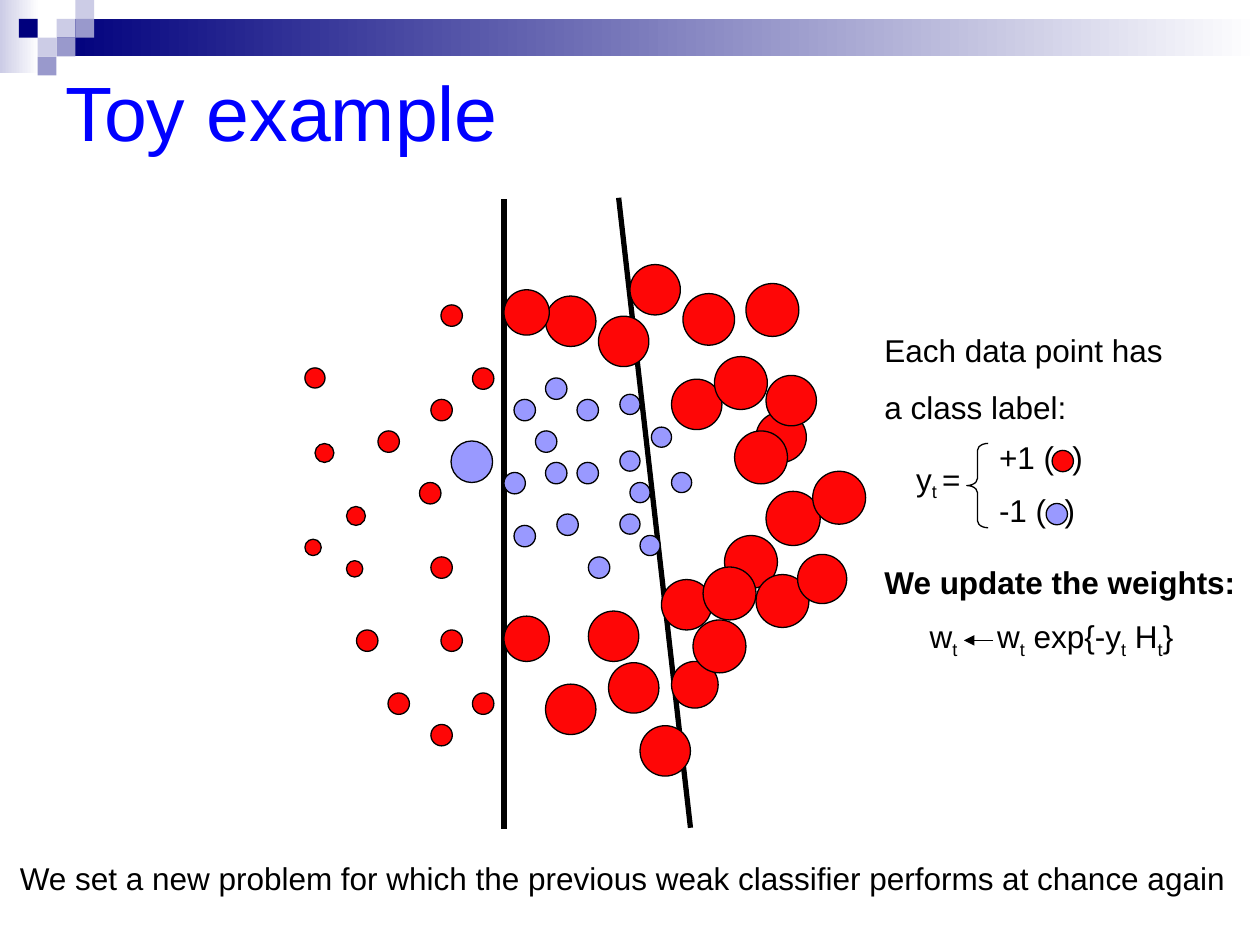
from dataclasses import dataclass

from lxml.etree import SubElement
from pptx import Presentation
from pptx.dml.color import RGBColor as RGB
from pptx.enum.shapes import MSO_CONNECTOR as LINE, MSO_SHAPE as SHAPE
from pptx.enum.text import MSO_ANCHOR as ANCHOR, MSO_AUTO_SIZE as AUTO, PP_ALIGN as ALIGN
from pptx.oxml.ns import qn
from pptx.util import Cm, Pt


@dataclass(frozen=True)
class Theme:
    font: str = "Arial"
    title_size: Pt = Pt(44)
    body_size: Pt = Pt(18)
    outline: Pt = Pt(0.75)
    arrow: Pt = Pt(1)
    boundary: Pt = Pt(3)
    ink: RGB = RGB(0, 0, 0)
    title: RGB = RGB(0, 0, 255)
    positive: RGB = RGB(0xFE, 0x06, 0x06)
    negative: RGB = RGB(0x99, 0x99, 0xFF)
    navy: RGB = RGB(0, 0, 0x7D)
    lilac: RGB = RGB(0xCC, 0xCC, 0xE6)
    mauve: RGB = RGB(0x99, 0x99, 0xCC)
    white: RGB = RGB(255, 255, 255)


THEME = Theme()
SCALE = 2.54  # centimetres per unit of the data below

# Left, top and diameter of each data point, from back to front
NEGATIVES = [
    (2.58, 2.17, 0.17), (2.92, 2.13, 0.16), (3.17, 2.39, 0.16), (2.33, 2.67, 0.17),
    (2.92, 3.08, 0.16), (3.33, 2.75, 0.16), (2.08, 3.17, 0.17), (2.58, 2.67, 0.17),
    (2.92, 2.58, 0.16), (3, 2.83, 0.16), (2.42, 3.08, 0.17), (2, 2.75, 0.17),
    (2.08, 2.17, 0.17), (2.67, 3.42, 0.17), (2.25, 2.42, 0.17), (3.08, 3.25, 0.16),
    (1.58, 2.5, 0.33), (2.33, 2, 0.17),
]
POSITIVES = [
    (4.08, 2.9, 0.43), (4, 2.27, 0.4), (3.75, 3.25, 0.42), (4, 3.56, 0.42),
    (4.45, 2.74, 0.42), (4.33, 3.4, 0.39), (0.5, 2.52, 0.15), (0.42, 1.92, 0.16),
    (0.42, 3.28, 0.13), (1, 2.42, 0.17), (0.75, 3.02, 0.15), (1.5, 4, 0.17),
    (1.42, 3.42, 0.17), (1.42, 4.75, 0.17), (2, 3.89, 0.36), (1.75, 4.5, 0.17),
    (2.83, 4.26, 0.4), (2.67, 3.85, 0.4), (2.33, 4.43, 0.4), (3.33, 4.25, 0.37),
    (3.08, 4.76, 0.4), (1.5, 1.42, 0.17), (2.33, 1.35, 0.4), (1.42, 2.17, 0.17),
    (2, 1.3, 0.36), (1.75, 1.92, 0.17), (3.42, 1.33, 0.41), (2.75, 1.51, 0.4),
    (3.33, 2.01, 0.4), (3.92, 1.25, 0.42), (3.67, 1.83, 0.42), (0.83, 4, 0.17),
    (0.75, 3.45, 0.13), (1.33, 2.83, 0.17), (1.08, 4.5, 0.17), (3, 1.1, 0.4),
    (4.08, 1.98, 0.4), (3.83, 2.42, 0.42), (3.25, 3.6, 0.4), (3.5, 3.92, 0.42),
    (3.58, 3.5, 0.42),
]
BOUNDARIES = [(2, 0.58, 2, 5.58), (2.91, 0.57, 3.48, 5.57)]


def set_all(target, formats):
    for attribute, value in formats.items():
        setattr(target, attribute, value)


def add_shape(slide, kind, left, top, width, height, fill=None, outlined=False):
    shape = slide.shapes.add_shape(kind, Cm(left), Cm(top), Cm(width), Cm(height))
    shape.shadow.inherit = False
    if fill is None:
        shape.fill.background()
    else:
        shape.fill.solid()
        shape.fill.fore_color.rgb = fill
    if outlined:
        shape.line.color.rgb = THEME.ink
        shape.line.width = THEME.outline
    else:
        shape.line.fill.background()
    return shape


def add_fade(slide, left, top, width, height, start):
    """Rectangle fading from the start colour to white, left to right."""
    fill = add_shape(slide, SHAPE.RECTANGLE, left, top, width, height).fill
    fill.gradient()
    fill.gradient_angle = 0
    for stop, color in zip(fill.gradient_stops, (start, THEME.white)):
        stop.color.rgb = color


def add_point(slide, left, top, diameter, color):
    add_shape(slide, SHAPE.OVAL, left, top, diameter, diameter, color, outlined=True)


def add_line(slide, x1, y1, x2, y2, width, arrow=False):
    line = slide.shapes.add_connector(LINE.STRAIGHT, Cm(x1), Cm(y1), Cm(x2), Cm(y2))
    line.line.color.rgb = THEME.ink
    line.line.width = width
    if arrow:
        SubElement(line.line._get_or_add_ln(), qn("a:tailEnd"), type="triangle")
    SubElement(line._element.spPr, qn("a:effectLst"))


def add_text(slide, left, top, width, height, *paragraphs, tab=None, wrap=False, bold=None):
    """Text whose every second part between bars is a subscript."""
    frame = slide.shapes.add_textbox(Cm(left), Cm(top), Cm(width), Cm(height)).text_frame
    set_all(frame, {"word_wrap": wrap, "auto_size": AUTO.SHAPE_TO_FIT_TEXT})
    for index, text in enumerate(paragraphs):
        paragraph = frame.add_paragraph() if index else frame.paragraphs[0]
        if index:
            paragraph.space_before = Pt(11.2)
        if tab:
            tabs = SubElement(paragraph._p.get_or_add_pPr(), qn("a:tabLst"))
            SubElement(tabs, qn("a:tab"), pos=str(Cm(tab)), algn="l")
        for part, words in enumerate(text.split("|")):
            run = paragraph.add_run()
            run.text = words
            set_all(run.font, {"name": THEME.font, "size": THEME.body_size, "bold": bold})
            run.font.color.rgb = THEME.ink
            if part % 2:
                run._r.get_or_add_rPr().set("baseline", "-25000")


def draw_banner(slide, left, top, width):
    cell = 0.38
    add_fade(slide, left, top, 0.79, 1.47, THEME.lilac)
    add_fade(slide, left + 3 * cell, top + cell, width - 3 * cell, 2 * cell, THEME.navy)
    squares = {
        THEME.lilac: [(3, 1), (4, 0), (2, 2)],
        THEME.mauve: [(4, 1), (3, 2), (2, 3)],
        THEME.navy: [(1, 1)],
    }
    for color, cells in squares.items():
        for column, row in cells:
            add_shape(slide, SHAPE.RECTANGLE, left + column * cell, top + row * cell,
                      cell, cell, color)


def draw_title(slide, left, top, width, height):
    title = slide.shapes.title
    set_all(title, {"left": Cm(left), "top": Cm(top), "width": Cm(width), "height": Cm(height)})
    frame = title.text_frame
    frame.text = "Toy example"
    set_all(frame, {"vertical_anchor": ANCHOR.MIDDLE, "auto_size": AUTO.NONE})
    paragraph = frame.paragraphs[0]
    paragraph.alignment = ALIGN.LEFT
    font = paragraph.runs[0].font
    set_all(font, {"name": THEME.font, "size": THEME.title_size})
    font.color.rgb = THEME.title


def draw_scatter(slide, left, top):
    for x1, y1, x2, y2 in BOUNDARIES:
        add_line(slide, left + x1 * SCALE, top + y1 * SCALE,
                 left + x2 * SCALE, top + y2 * SCALE, THEME.boundary)
    for points, color in ((NEGATIVES, THEME.negative), (POSITIVES, THEME.positive)):
        for x, y, diameter in points:
            add_point(slide, left + x * SCALE, top + y * SCALE, diameter * SCALE, color)


def draw_class_labels(slide, left, top):
    add_text(slide, left, top, 6.35, 3.35, "Each data point has", "a class label:", wrap=True)
    add_text(slide, left + 0.64, top + 2.59, 1.4, 1.12, "y|t |=")
    brace = add_shape(slide, SHAPE.LEFT_BRACE, left + 1.91, top + 2.39, 0.43, 1.7, outlined=True)
    brace.adjustments[0] = 0.33
    labels = [
        ("+1 (\t)", 2.16, 1.48, 3.63, THEME.positive),
        ("-1 (\t)", 3.23, 1.32, 3.51, THEME.negative),
    ]
    for label, y, tab, point_x, color in labels:
        add_text(slide, left + 2.31, top + y, 2.6, 1.02, label, tab=tab, wrap=True)
        add_point(slide, left + point_x, top + y + 0.37, 0.43, color)


def draw_weight_update(slide, left, top):
    add_text(slide, left, top, 7.6, 1.02, "We update the weights:", bold=True)
    add_text(slide, left + 0.91, top + 1.09, 5.8, 1.12,
             "w|t|\tw|t| exp{-y|t| H|t|}", tab=1.36, wrap=True)
    add_line(slide, left + 2.44, top + 1.68, left + 1.85, top + 1.68, THEME.arrow, arrow=True)


def main():
    deck = Presentation()
    set_all(deck, {"slide_width": Cm(25.4), "slide_height": Cm(19.05)})
    slide = deck.slides.add_slide(deck.slide_layouts[5])
    draw_banner(slide, 0, 0, 25.4)
    draw_title(slide, 1.07, 0.64, 22.86, 3.18)
    add_text(slide, 0.15, 17.2, 24.82, 1.02,
             "We set a new problem for which the previous weak classifier performs at chance again")
    draw_class_labels(slide, 17.58, 6.55)
    draw_weight_update(slide, 17.58, 11.23)
    draw_scatter(slide, 5.08, 2.54)
    deck.save("out.pptx")


if __name__ == "__main__":
    main()
